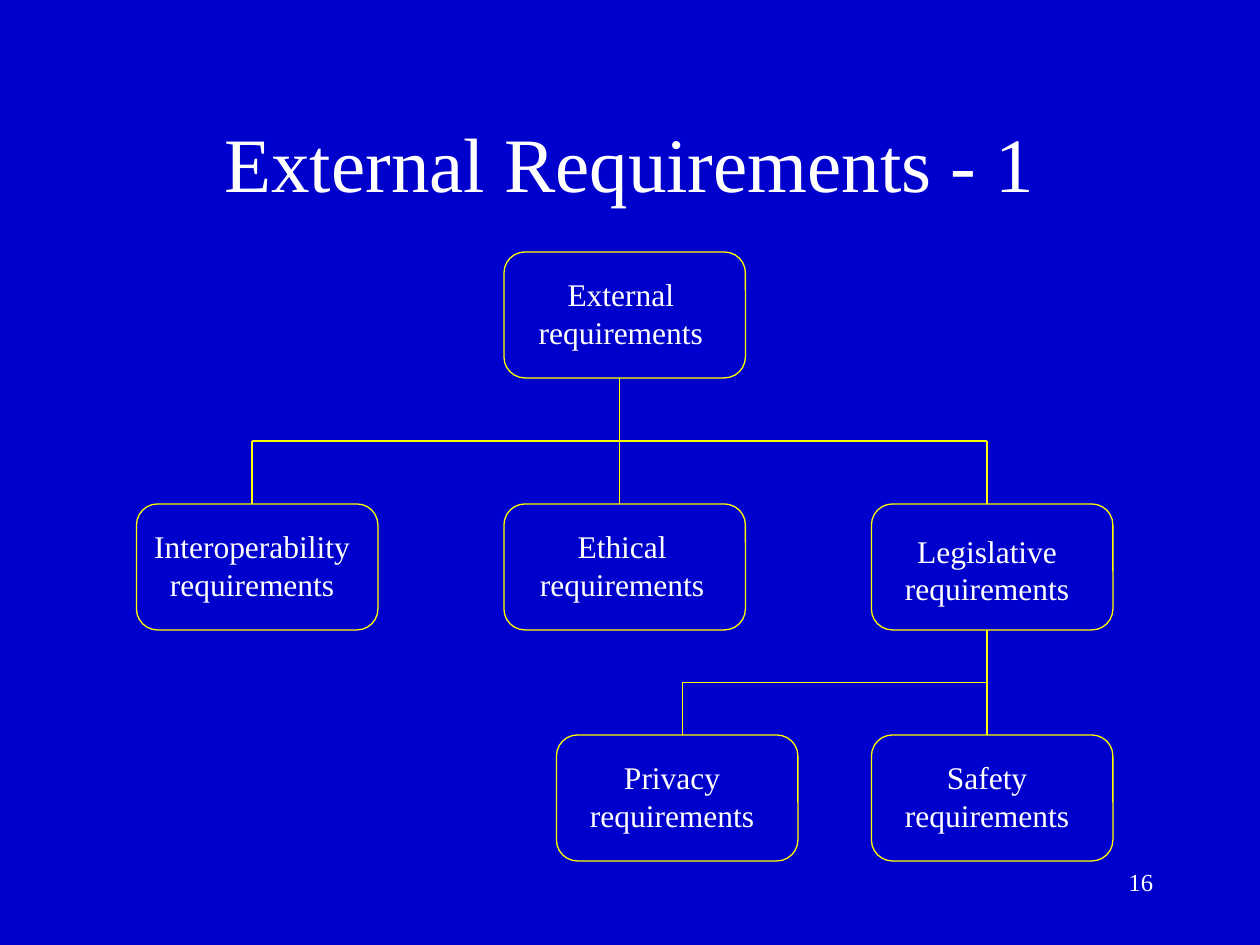
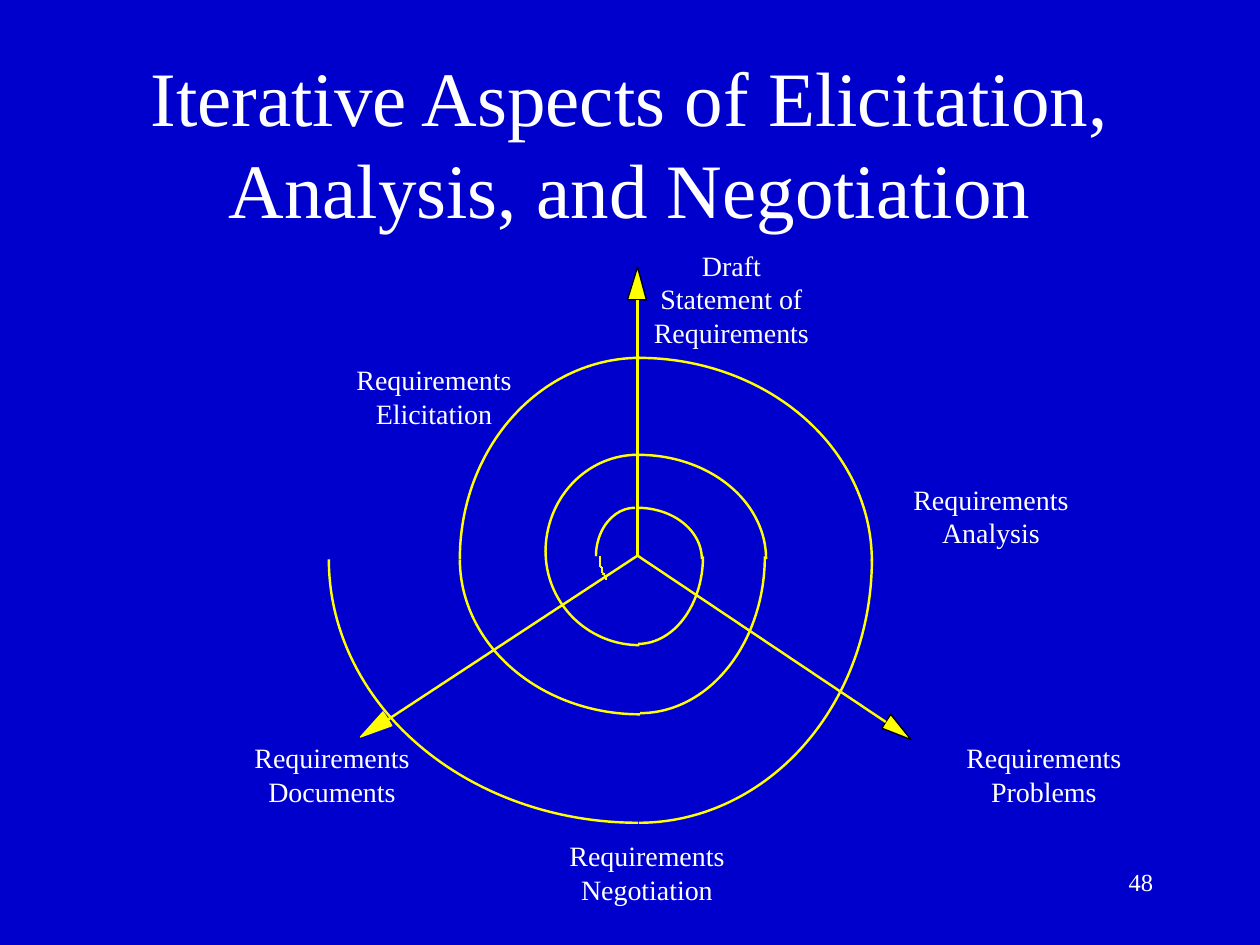
import itertools
import pptx
import pptx.util
import pptx.dml.color
import pptx.enum.shapes
import pptx.enum.text
from lxml import etree

Inches = pptx.util.Inches
Shape = pptx.enum.shapes.MSO_SHAPE
Align = pptx.enum.text.PP_ALIGN
Anchor = pptx.enum.text.MSO_ANCHOR

FONT = "Times New Roman"
BLUE, YELLOW, WHITE, BLACK = "0000CC", "FFFF00", "FFFFFF", "000000"
THIN, THICK = 0.75, 1.39

TREE_HEAD = ("External Requirements - 1", 0.66, "16")
GRID = 1 / 12
BOX_W, BOX_H = 23, 12
BOXES = {
    "External": (48, 24, 59, 0.06, 0),
    "Interoperability": (13, 48, 24, 0.08, 0),
    "Ethical": (48, 48, 59, 0.04, 0),
    "Legislative": (83, 48, 94, 0.08, 0.07),
    "Privacy": (53, 70, 65, 0.08, 0),
    "Safety": (83, 70, 94, 0.08, 0),
}
BRANCHES = [
    ("External", 42, ["Interoperability", "Ethical", "Legislative"]),
    ("Legislative", 65, ["Privacy", "Safety"]),
]

LOOP_HEAD = ("Iterative Aspects of Elicitation, Analysis, and Negotiation", 0.5, "48")
HUB = (5.06, 4.41)
AXES = [
    ((5.06, 2.38), [(5.06, 2.12), (5.13, 2.38), (5.06, 2.38), (4.98, 2.38)], BLACK),
    ((7.03, 5.73), [(7.23, 5.87), (7, 5.78), (7.03, 5.73), (7.07, 5.67)], BLACK),
    ((3.08, 5.71), [(2.86, 5.85), (3.04, 5.65), (3.08, 5.71), (3.11, 5.76)], YELLOW),
]
ARCS = [
    (4.73, 4.03, 0.62, 0.77), (4.55, 4.03, 1.02, 0.81),
    (4.55, 3.72, 1.03, 1.39), (4.33, 3.63, 1.49, 1.49),
    (4.33, 3.61, 1.46, 1.54), (4.06, 3.61, 2.02, 1.65),
    (4.09, 3.17, 1.98, 2.49), (3.65, 3.21, 2.86, 2.46),
    (3.65, 2.84, 2.86, 3.19), (3.22, 2.84, 3.7, 3.22),
    (3.22, 2.35, 3.7, 4.18), (2.61, 2.35, 4.91, 4.18),
]
QUARTERS = [(180, 270), (270, 0), (0, 90), (90, 180)]
HOOK = {
    4.76: [4.41, 4.41, 4.43, 4.43, 4.44, 4.45, 4.46, 4.46, 4.48, 4.48, 4.5],
    4.78: [4.5, 4.5, 4.52, 4.52, 4.54, 4.54, 4.55],
    4.8: [4.56, 4.56, 4.57, 4.57, 4.59],
    4.82: [4.59, 4.59],
}
LABEL_W = 1.43
LABELS = [
    ("Requirements\nElicitation", 2.73, 2.83),
    ("Requirements\nAnalysis", 7.15, 3.78),
    ("Draft\nStatement of\nRequirements", 5.09, 1.92),
    ("Requirements\nProblems", 7.57, 5.83),
    ("Requirements\nNegotiation", 4.42, 6.61),
    ("Requirements\nDocuments", 1.92, 5.83),
]


def tint(code):
    return pptx.dml.color.RGBColor.from_string(code)


def stroke(part, code, width):
    part.line.color.rgb = tint(code)
    part.line.width = pptx.util.Pt(width)


def write(frame, text, size, align=Align.CENTER):
    frame.text = text
    for para in frame.paragraphs:
        para.alignment = align
        for run in para.runs:
            run.font.name = FONT
            run.font.size = pptx.util.Pt(size)
            run.font.color.rgb = tint(WHITE)


def add_text(slide, text, left, top, width, height, size, align=Align.CENTER, wrap=True):
    box = slide.shapes.add_textbox(*map(Inches, (left, top, width, height)))
    frame = box.text_frame
    frame.word_wrap = wrap
    write(frame, text, size, align)
    return frame


def add_line(slide, start, end, width, unit=1):
    ends = [Inches(value * unit) for value in (*start, *end)]
    line = slide.shapes.add_connector(pptx.enum.shapes.MSO_CONNECTOR.STRAIGHT, *ends)
    stroke(line, YELLOW, width)
    etree.SubElement(line._element.spPr, pptx.oxml.ns.qn("a:effectLst"))


def add_outline(slide, kind, place, width):
    shape = slide.shapes.add_shape(kind, *map(Inches, place))
    shape.shadow.inherit = False
    shape.fill.background()
    stroke(shape, YELLOW, width)
    return shape


def add_head(slide, points, edge):
    spots = [(Inches(x), Inches(y)) for x, y in points]
    maker = slide.shapes.build_freeform(*spots[0])
    maker.add_line_segments(spots[1:], close=True)
    head = maker.convert_to_shape()
    head.shadow.inherit = False
    head.fill.solid()
    head.fill.fore_color.rgb = tint(YELLOW)
    stroke(head, edge, THIN)


def add_slide(deck, title, top, page):
    slide = deck.slides.add_slide(deck.slide_layouts[6])
    frame = add_text(slide, title, 0.75, top, 8.5, 1.25, 44)
    frame.vertical_anchor = Anchor.MIDDLE
    add_text(slide, page, 7.17, 6.83, 2.08, 0.5, 14, Align.RIGHT)
    return slide


def add_box(slide, name, left, top, inset, drop):
    place = [value * GRID for value in (left, top, BOX_W, BOX_H)]
    frame = add_outline(slide, Shape.ROUNDED_RECTANGLE, place, THIN).text_frame
    frame.word_wrap = True
    frame.vertical_anchor = Anchor.MIDDLE
    frame.margin_left, frame.margin_right = 0, Inches(inset)
    frame.margin_top, frame.margin_bottom = Inches(drop), Inches(0.03)
    write(frame, name + "\nrequirements", 18)


def add_branch(slide, parent, rail, kids):
    top, stem = BOXES[parent][1:3]
    stems = [BOXES[kid][2] for kid in kids]
    add_line(slide, (stem, top + BOX_H), (stem, rail), THIN, GRID)
    add_line(slide, (min(stems), rail), (max(stems), rail), THIN, GRID)
    for kid, x in zip(kids, stems):
        add_line(slide, (x, rail), (x, BOXES[kid][1]), THIN, GRID)


def add_arc(slide, place, angles):
    arc = add_outline(slide, Shape.ARC, place, THICK)
    for index, angle in enumerate(angles):
        arc.adjustments[index] = angle * 0.6


def main():
    deck = pptx.Presentation()
    deck.slide_width, deck.slide_height = Inches(10), Inches(7.5)
    back = deck.slide_master.background.fill
    back.solid()
    back.fore_color.rgb = tint(BLUE)

    tree = add_slide(deck, *TREE_HEAD)
    for name, (left, top, _, inset, drop) in BOXES.items():
        add_box(tree, name, left, top, inset, drop)
    for branch in BRANCHES:
        add_branch(tree, *branch)

    loop = add_slide(deck, *LOOP_HEAD)
    for base, head, edge in AXES:
        add_head(loop, head, edge)
        add_line(loop, base, HUB, THICK)
    for place, angles in zip(ARCS, itertools.cycle(QUARTERS)):
        add_arc(loop, place, angles)
    dots = [(x, y) for x, column in HOOK.items() for y in column]
    for start, end in zip(dots, dots[1:]):
        add_line(loop, start, end, THICK)
    for text, left, top in LABELS:
        height = 0.9 if text.count("\n") == 2 else 0.64
        add_text(loop, text, left, top, LABEL_W, height, 16, wrap=False)

    deck.save("out.pptx")


if __name__ == "__main__":
    main()
